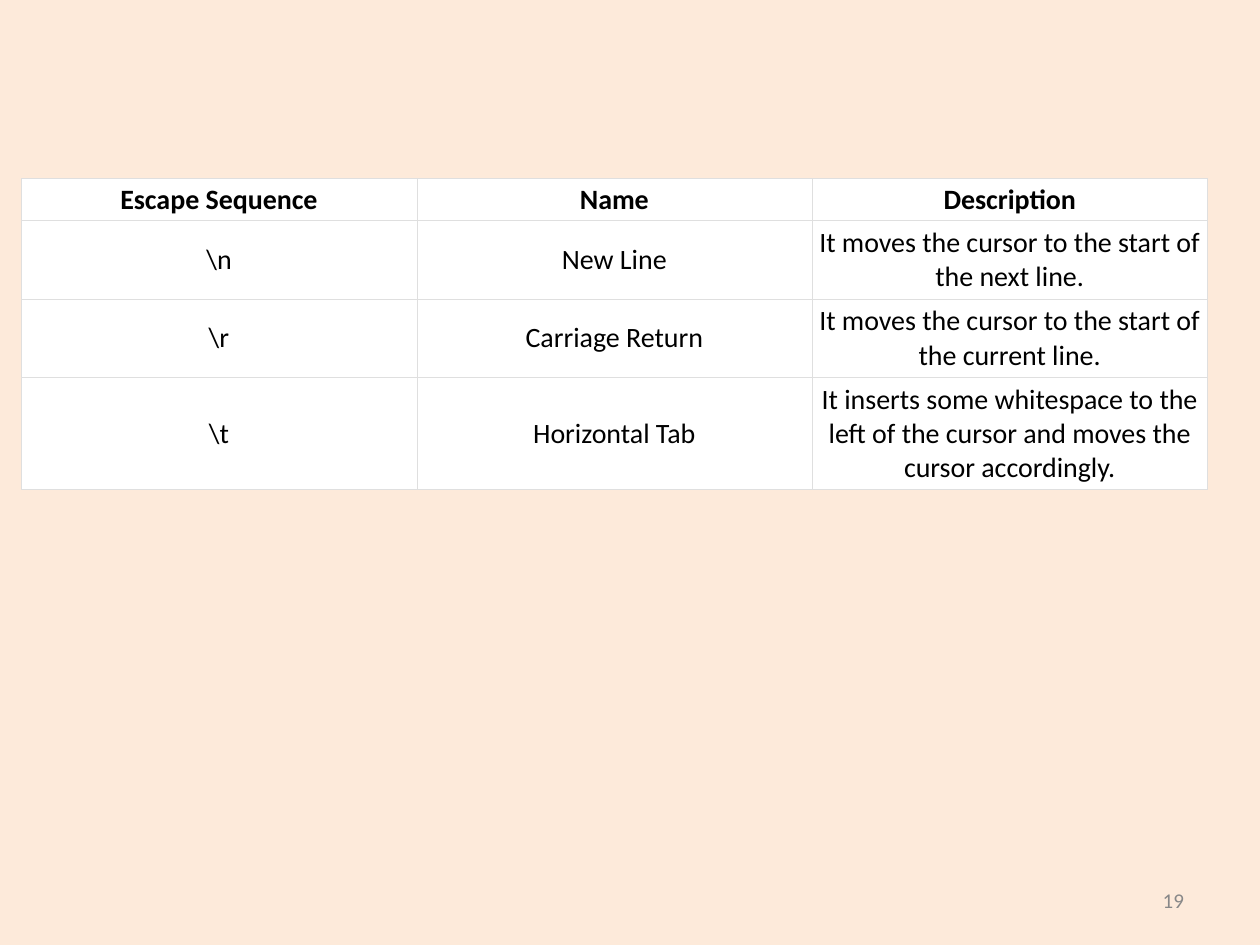
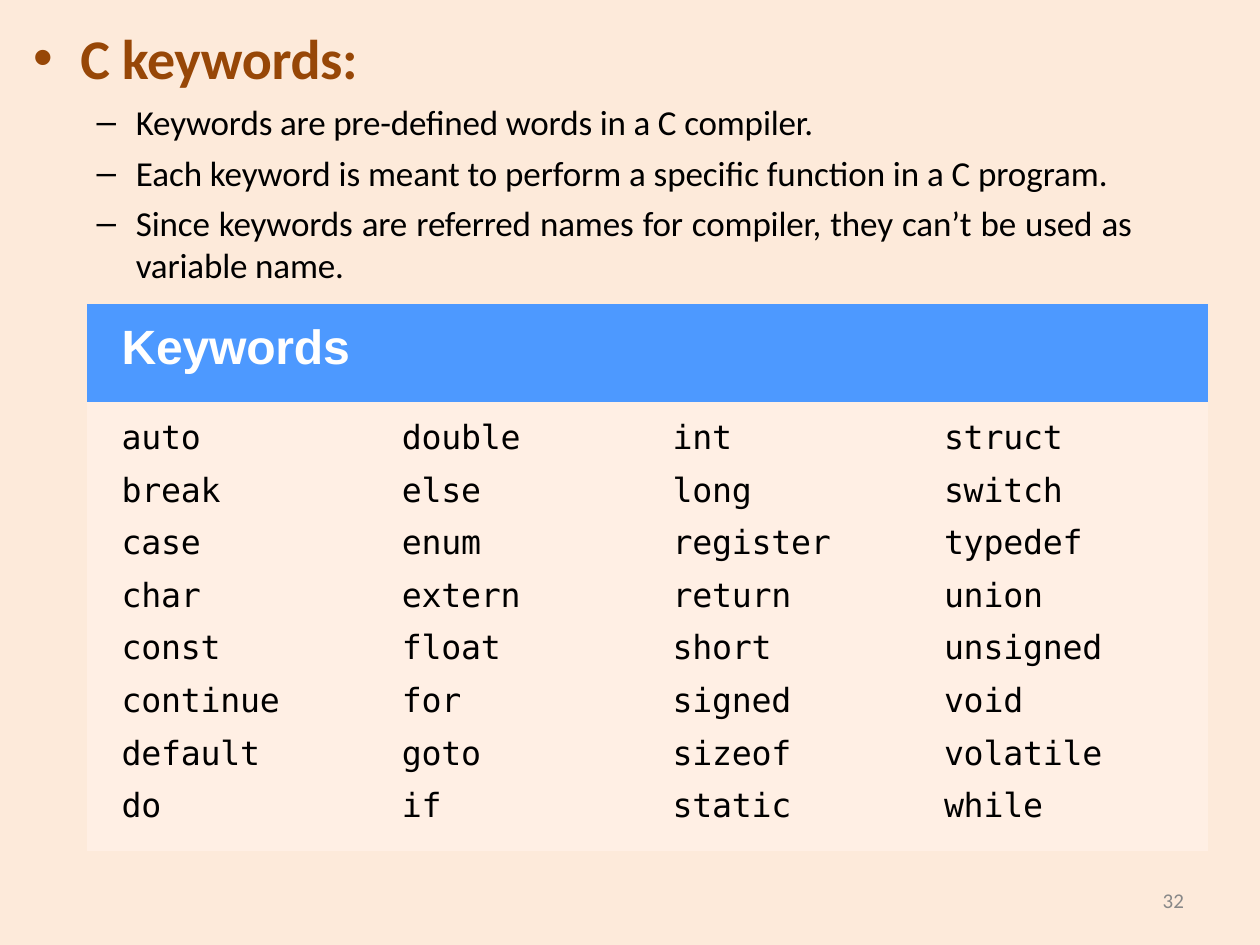
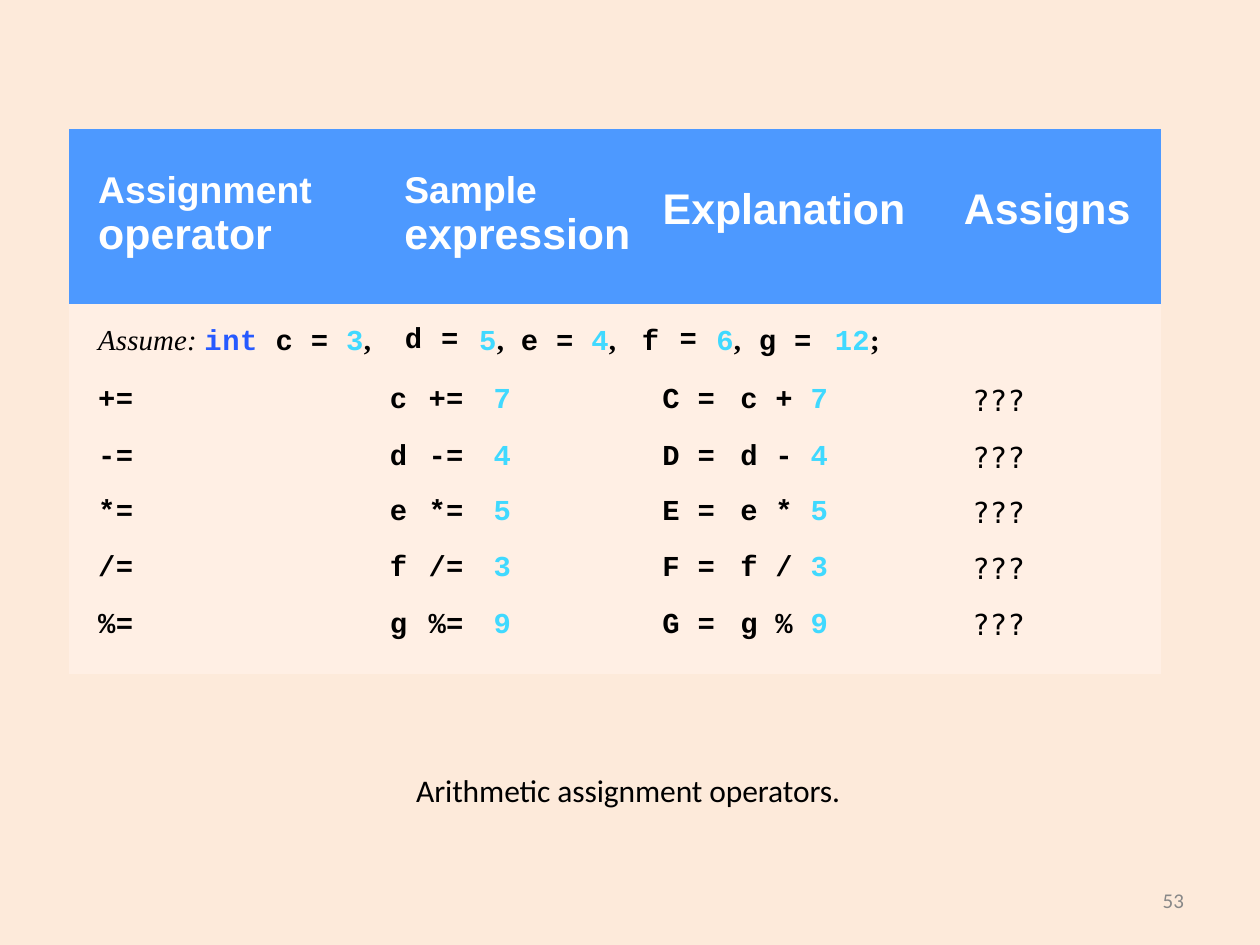
import dataclasses
from typing import Optional, Sequence

import lxml.etree
import pptx
import pptx.dml.color
import pptx.enum.text
import pptx.oxml.ns
import pptx.slide
import pptx.table
import pptx.text.text
import pptx.util

Cm = pptx.util.Cm
Pt = pptx.util.Pt
ALIGN = pptx.enum.text.PP_ALIGN
ANCHOR = pptx.enum.text.MSO_ANCHOR
NO_STYLE_NO_GRID = "{2D5ABB26-0587-4C30-8999-92F81FD0307C}"

COLORS = {
    "background": "FDEADA",
    "page_number": "888888",
    "heading": "974707",
    "text": "000000",
    "white": "FFFFFF",
    "grid": "DFDFDF",
    "header": "4D99FF",
    "body": "FFEFE4",
    "keyword": "275AFF",
    "number": "40D9FF",
}


@dataclasses.dataclass(frozen=True)
class Style:
    font: str
    size: float
    color: str = "text"
    bold: bool = False
    italic: bool = False
    spacing: float = 0
    raised: int = 0  # percent of the text size


@dataclasses.dataclass(frozen=True)
class Piece:
    text: str
    style: Style


@dataclasses.dataclass(frozen=True)
class Line:
    """One paragraph; lengths in centimetres."""
    pieces: Sequence[Piece]
    indent: float = 0
    hanging: float = 0
    right: float = 0
    bullet: str = ""
    before: float = 0
    spacing: Optional[object] = None
    align: Optional[ALIGN] = None
    tabs: Sequence[float] = ()


@dataclasses.dataclass(frozen=True)
class Cell:
    line: Optional[Line]
    fill: str = "body"
    top: float = 0
    bottom: float = 0
    side: float = 0
    middle: bool = False
    border: str = ""


@dataclasses.dataclass(frozen=True)
class Box:
    left: float
    top: float
    width: float
    height: float
    lines: Sequence[Line]
    inset: float = 0


# Text styles
PAGE_NUMBER = Style("Calibri", 12, "page_number")
CAPTION = Style("Calibri", 18, spacing=-0.05)
HEADING = Style("Calibri", 32, "heading", bold=True, spacing=-0.2)
POINT = Style("Calibri", 20, spacing=-0.1)
POINT_WIDE = dataclasses.replace(POINT, spacing=-0.05)
PLAIN = Style("Calibri", 16)
PLAIN_BOLD = Style("Calibri", 16, bold=True)
KEYWORDS_TITLE = Style("Arial", 27.5, "white", bold=True, spacing=-0.1)
MONO = Style("DejaVu Sans Mono", 19, spacing=-0.1)
MONO_SMALL = Style("DejaVu Sans Mono", 16.5, spacing=0.2)
COLUMN_TITLE = Style("Arial", 24.5, "white", bold=True)
COLUMN_TITLE_RAISED = Style("Arial", 36.8, "white", bold=True, raised=33)
CODE = Style("Courier New", 16.5, bold=True, spacing=0.2)
CODE_TYPE = dataclasses.replace(CODE, color="keyword", spacing=0.3)
CODE_NUMBER = dataclasses.replace(CODE, color="number")
SERIF = Style("Times New Roman", 16.5, bold=True, spacing=0.2)
ASSUME = Style("Times New Roman", 16.5, italic=True, spacing=0.1)


def rgb(name: str) -> pptx.dml.color.RGBColor:
    return pptx.dml.color.RGBColor.from_string(COLORS[name])


def add_child(parent, tag: str, **attributes):
    child = lxml.etree.SubElement(parent, pptx.oxml.ns.qn(tag))
    for name, value in attributes.items():
        child.set(name, str(value))
    return child


def format_run(run, style: Style) -> None:
    run.font.name = style.font
    run.font.size = Pt(style.size)
    run.font.bold = style.bold
    run.font.italic = style.italic
    run.font.color.rgb = rgb(style.color)
    properties = run.font._element
    if style.spacing:
        properties.set("spc", str(round(style.spacing * 100)))
    if style.raised:
        properties.set("baseline", str(style.raised * 1000))


def write_line(paragraph: pptx.text.text._Paragraph, line: Line) -> None:
    paragraph.text = line.pieces[0].text
    for piece in line.pieces[1:]:
        paragraph.add_run().text = piece.text
    for run, piece in zip(paragraph.runs, line.pieces):
        format_run(run, piece.style)
    paragraph.alignment = line.align
    paragraph.space_before = Pt(line.before)
    if line.spacing:
        paragraph.line_spacing = line.spacing
    # A zero first-line indent would reset the tab stops, so zeros are left out
    properties = paragraph._p.get_or_add_pPr()
    for name, length in (("marL", line.indent), ("marR", line.right),
                         ("indent", -line.hanging)):
        if length:
            properties.set(name, str(Cm(length)))
    if line.bullet:
        add_child(properties, "a:buFont", typeface="Arial")
        add_child(properties, "a:buChar", char=line.bullet)
    if line.tabs:
        stops = add_child(properties, "a:tabLst")
        for position in line.tabs:
            add_child(stops, "a:tab", pos=Cm(position), algn="l")


def draw_box(slide: pptx.slide.Slide, box: Box) -> None:
    shape = slide.shapes.add_textbox(
        Cm(box.left), Cm(box.top), Cm(box.width), Cm(box.height))
    text_frame = shape.text_frame
    text_frame.word_wrap = True
    text_frame.auto_size = pptx.enum.text.MSO_AUTO_SIZE.SHAPE_TO_FIT_TEXT
    text_frame.margin_left = text_frame.margin_right = text_frame.margin_bottom = 0
    text_frame.margin_top = Cm(box.inset)
    for index, line in enumerate(box.lines):
        paragraph = text_frame.add_paragraph() if index else text_frame.paragraphs[0]
        write_line(paragraph, line)


def draw_cell(target: pptx.table._Cell, cell: Cell) -> None:
    target.margin_left = target.margin_right = Cm(cell.side)
    target.margin_top = Cm(cell.top)
    target.margin_bottom = Cm(cell.bottom)
    target.vertical_anchor = ANCHOR.MIDDLE if cell.middle else ANCHOR.TOP
    if cell.border:
        for side in ("a:lnL", "a:lnR", "a:lnT", "a:lnB"):
            edge = add_child(target._tc.get_or_add_tcPr(), side, w=Pt(0.18))
            add_child(add_child(edge, "a:solidFill"), "a:srgbClr", val=COLORS[cell.border])
    target.fill.solid()
    target.fill.fore_color.rgb = rgb(cell.fill)
    if cell.line:
        write_line(target.text_frame.paragraphs[0], cell.line)


def draw_table(slide: pptx.slide.Slide, left: float, top: float,
               widths: Sequence[float], heights: Sequence[float],
               rows: Sequence[Sequence[Cell]]) -> None:
    """A row with a single cell is merged across all columns."""
    table = slide.shapes.add_table(
        len(heights), len(widths), Cm(left), Cm(top),
        Cm(sum(widths)), Cm(sum(heights))).table
    table.first_row = table.horz_banding = False
    table._tbl.tblPr.find(pptx.oxml.ns.qn("a:tableStyleId")).text = NO_STYLE_NO_GRID
    for column, width in zip(table.columns, widths):
        column.width = Cm(width)
    for index, (height, cells) in enumerate(zip(heights, rows)):
        table.rows[index].height = Cm(height)
        if len(cells) == 1:
            table.cell(index, 0).merge(table.cell(index, len(widths) - 1))
        for column, cell in enumerate(cells):
            draw_cell(table.cell(index, column), cell)


def new_slide(presentation, number: int) -> pptx.slide.Slide:
    slide = presentation.slides.add_slide(presentation.slide_layouts[6])
    slide.background.fill.solid()
    slide.background.fill.fore_color.rgb = rgb("background")
    draw_box(slide, Box(23.34, 17.96, 0.64, 0.48, [
        Line([Piece(str(number), PAGE_NUMBER)], indent=0.1, spacing=Pt(12.4))]))
    return slide


# Escape sequences
ESCAPES = [
    ("Escape Sequence", "Name", "Description"),
    (r"\n", "New Line", "It moves the cursor to the start of the next line."),
    (r"\r", "Carriage Return", "It moves the cursor to the start of the current line."),
    (r"\t", "Horizontal Tab", "It inserts some whitespace to the left of the cursor "
                              "and moves the cursor accordingly."),
]


def escape_slide(presentation) -> None:
    slide = new_slide(presentation, 19)
    rows = []
    for index, texts in enumerate(ESCAPES):
        style, margin = (PLAIN, 0.1) if index else (PLAIN_BOLD, 0.08)
        rows.append([
            Cell(Line([Piece(text, style)], align=ALIGN.CENTER), "white",
                 margin, margin, 0.08, middle=True, border="grid")
            for text in texts])
    draw_table(slide, 0.43, 3.6, [7.97] * 3, [0.84, 1.59, 1.58, 2.26], rows)


# Keywords
POINTS = [
    Piece("Keywords are pre-defined words in a C compiler.", POINT),
    Piece("Each keyword is meant to perform a specific function in a C program.",
          POINT_WIDE),
    Piece("Since keywords are referred names for compiler, they can’t be used as "
          "variable name.", POINT),
]
KEYWORD_COLUMNS = [
    "auto break case char const continue default do".split(),
    "double else enum extern float for goto if".split(),
    "int long register return short signed sizeof static".split(),
    "struct switch typedef union unsigned void volatile while".split(),
]
KEYWORD_INDENTS = [0.7, 1.22, 1.52, 1.12]


def keyword_slide(presentation) -> None:
    slide = new_slide(presentation, 32)
    lines = [Line([Piece("C keywords:", HEADING)], indent=0.98, hanging=0.95, bullet="•")]
    for index, point in enumerate(POINTS):
        lines.append(Line([point], indent=2.1, hanging=0.79, right=1.96,
                          bullet="–", before=4.8 if index else 5.5,
                          align=ALIGN.JUSTIFY))
    draw_box(slide, Box(0.64, 0.13, 24.13, 5.66, lines, inset=0.35))

    rows = [[Cell(Line([Piece("Keywords", KEYWORDS_TITLE)], indent=0.7),
                  "header", top=0.35)]]
    for index, words in enumerate(zip(*KEYWORD_COLUMNS)):
        rows.append([
            Cell(Line([Piece(word, MONO)], indent=indent), top=0.05 if index else 0.33)
            for word, indent in zip(words, KEYWORD_INDENTS)])
    draw_table(slide, 1.75, 6.13, [5.13, 5.16, 5.87, 6.45],
               [1.97, 1.35] + [1.06] * 6 + [1.34], rows)


# Assignment operators
OPERATIONS = [("+", "c", 7), ("-", "d", 4), ("*", "e", 5), ("/", "f", 3), ("%", "g", 9)]
OPERATOR_INDENT = 0.58


def assumption_row() -> list[Cell]:
    comma = Piece(",", SERIF)
    comma_tab = Piece(",\t", SERIF)
    equals = Piece("=", CODE)
    lines = [
        Line([Piece("Assume: ", ASSUME), Piece("int ", CODE_TYPE), Piece("c = ", CODE),
              Piece("3", CODE_NUMBER), comma], indent=OPERATOR_INDENT),
        Line([Piece("d", CODE)], indent=0.33),
        Line([equals], indent=0.3),
        Line([Piece("5", CODE_NUMBER), comma_tab, Piece("e = ", CODE),
              Piece("4", CODE_NUMBER), comma_tab, Piece("f", CODE)],
             indent=0.13, tabs=[0.84, 3.28]),
        Line([equals]),
        Line([Piece("6", CODE_NUMBER), comma_tab, Piece("g =", CODE)], tabs=[0.86]),
        Line([Piece("12", CODE_NUMBER), Piece(";", SERIF)], indent=0.08),
        None,
    ]
    return [Cell(line, top=0.41) for line in lines]


def operation_row(operator: str, name: str, value: int) -> list[Cell]:
    assignment = [Piece(f"{operator}=", CODE)]
    lines = [
        Line(assignment, indent=OPERATOR_INDENT),
        Line([Piece(name, CODE)], indent=0.03),
        Line(assignment, indent=0.05),
        Line([Piece(f"{value}\t", CODE_NUMBER), Piece(name.upper(), CODE)],
             align=ALIGN.RIGHT, tabs=[3.4]),
        Line([Piece("=", CODE)], align=ALIGN.RIGHT, right=0.03),
        Line([Piece(f"{name} {operator} ", CODE), Piece(str(value), CODE_NUMBER)],
             align=ALIGN.RIGHT, right=0.06),
        None,
        Line([Piece("???", MONO_SMALL)], indent=0.89),
    ]
    return [Cell(line, top=0.06) for line in lines]


def assignment_slide(presentation) -> None:
    slide = new_slide(presentation, 53)
    # The column titles stand on tab stops; the last two wrap to a second line
    titles = Line([Piece("Assignment\tSample\t", COLUMN_TITLE_RAISED),
                   Piece("Explanation\tAssigns operator\texpression", COLUMN_TITLE)],
                  indent=OPERATOR_INDENT, spacing=0.47, tabs=[6.17, 11.38, 17.45])
    rows = [[Cell(titles, "header", top=1.37)], assumption_row()]
    rows += [operation_row(*operation) for operation in OPERATIONS]
    draw_table(slide, 1.4, 2.61, [6.43, 0.76, 0.94, 4.17, 0.74, 2.31, 1.96, 4.7],
               [3.52, 1.57, 1.14, 1.12, 1.12, 1.14, 1.37], rows)
    draw_box(slide, Box(8.36, 15.52, 8.69, 0.84, [
        Line([Piece("Arithmetic assignment operators.", CAPTION)], indent=0.03)],
        inset=0.03))


def main() -> None:
    presentation = pptx.Presentation()
    presentation.slide_width = Cm(25.4)
    presentation.slide_height = Cm(19.05)
    escape_slide(presentation)
    keyword_slide(presentation)
    assignment_slide(presentation)
    presentation.save("out.pptx")


if __name__ == "__main__":
    main()
